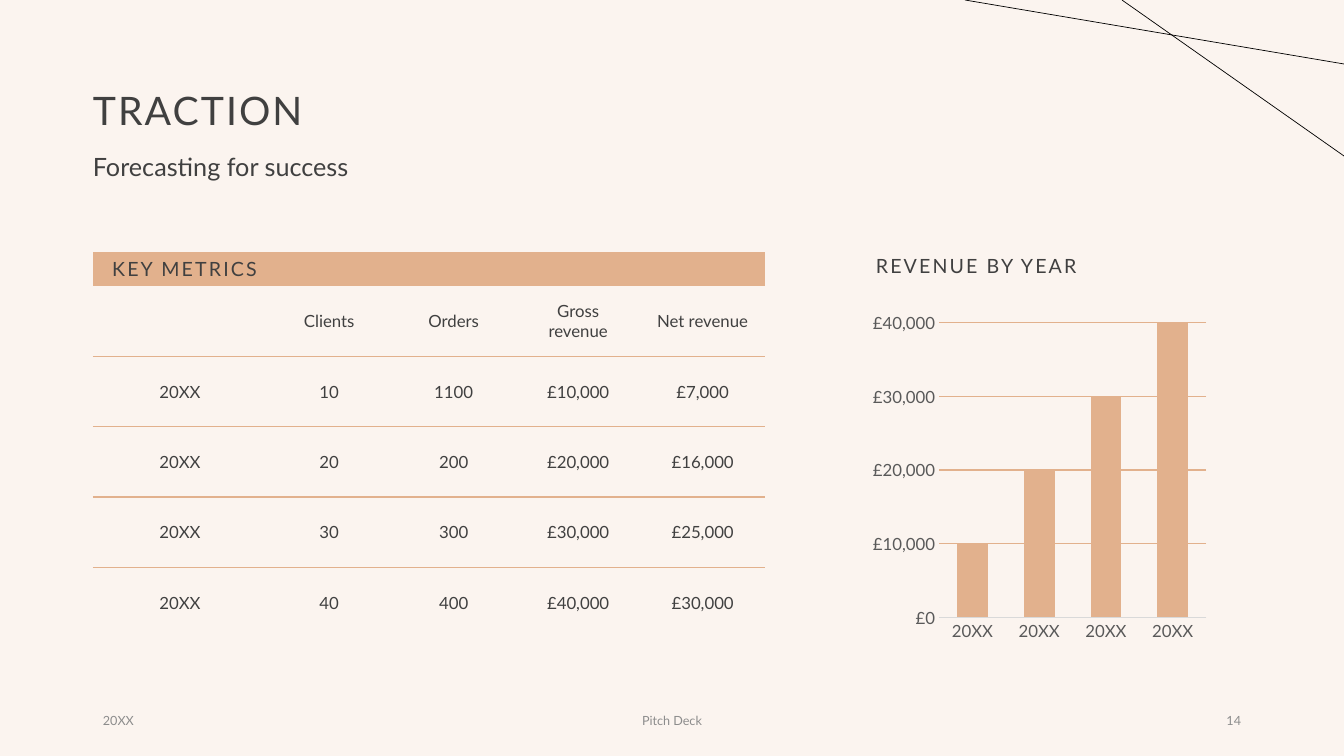
from lxml import etree
from pptx import Presentation
from pptx.chart.data import CategoryChartData
from pptx.dml.color import RGBColor
from pptx.enum.chart import XL_CHART_TYPE, XL_TICK_MARK
from pptx.enum.shapes import MSO_CONNECTOR
from pptx.enum.text import MSO_ANCHOR, MSO_AUTO_SIZE, PP_ALIGN
from pptx.oxml.ns import qn
from pptx.util import Emu, Pt

LEFT, CENTER, RIGHT = PP_ALIGN.LEFT, PP_ALIGN.CENTER, PP_ALIGN.RIGHT
TOP, MIDDLE = MSO_ANCHOR.TOP, MSO_ANCHOR.MIDDLE
NO_TICK = XL_TICK_MARK.NONE

# Content
FONT = "Lato"
CREAM, PEACH, INK, AXIS_INK, FOOTER_INK = "FBF4EF", "E2B18D", "404040", "595959", "8C8C8C"

TITLE = "TRACTION"
SUBTITLE = "Forecasting for success"
CHART_HEADING = "REVENUE BY YEAR"
METRICS = [
    ["KEY METRICS", "", "", "", ""],
    ["", "Clients", "Orders", "Gross revenue", "Net revenue"],
    ["20XX", "10", "1100", "£10,000", "£7,000"],
    ["20XX", "20", "200", "£20,000", "£16,000"],
    ["20XX", "30", "300", "£30,000", "£25,000"],
    ["20XX", "40", "400", "£40,000", "£30,000"],
]
YEARS = ["20XX"] * 4
REVENUE = [10000, 20000, 30000, 40000]
FOOTERS = [  # text, left, width, alignment
    ("20XX", 93, 302, LEFT),
    ("Pitch Deck", 445, 454, CENTER),
    ("14", 949, 302, RIGHT),
]
CORNER_LINES = [(1122, 0, 1344, 156), (965, 0, 1344, 64)]

# Layout in px
SLIDE_W, SLIDE_H = 1344, 756
TITLE_BOX = (93, 40, 1159, 146)
SUBTITLE_BOX = (83, 150, 746, 54)
TABLE_BOX = (93, 252, 672, 386)
YEAR_COL_W, BANNER_H = 174, 34
HEADING_BOX = (866, 252, 347, 34)
CHART_BOX = (866, 306, 347, 342)
FOOTER_TOP, FOOTER_H = 701, 40


def px(value):
    return Emu(round(value * 914400 / 100.8))


def box(values):
    return [px(value) for value in values]


def color(hex_code):
    return RGBColor.from_string(hex_code)


def set_attributes(target, values):
    for name, value in values.items():
        setattr(target, name, value)


def style_font(font, size, hex_code):
    set_attributes(font, {"name": FONT, "size": Pt(size), "bold": False})
    font.color.rgb = color(hex_code)


def write(frame, text, size, hex_code=INK, align=LEFT, tracking=0, paragraph_format=None):
    paragraph = frame.paragraphs[0]
    set_attributes(paragraph, {"alignment": align, **(paragraph_format or {})})
    run = paragraph.add_run()
    run.text = text
    style_font(run.font, size, hex_code)
    if tracking:
        run._r.get_or_add_rPr().set("spc", str(round(tracking * 100)))


def add_text(slide, bounds, text, size, anchor=TOP, **text_format):
    frame = slide.shapes.add_textbox(*box(bounds)).text_frame
    set_attributes(frame, {"word_wrap": True, "vertical_anchor": anchor})
    write(frame, text, size, **text_format)


def add_bottom_border(cell):
    border = etree.Element(qn("a:lnB"), w=str(Pt(1)))
    fill = etree.SubElement(border, qn("a:solidFill"))
    etree.SubElement(fill, qn("a:srgbClr"), val=PEACH)
    cell._tc.get_or_add_tcPr().insert(0, border)


def add_metrics(slide):
    row_count, col_count = len(METRICS), len(METRICS[0])
    graphic = slide.shapes.add_table(row_count, col_count, *box(TABLE_BOX))
    table = graphic.table
    set_attributes(table, {"first_row": False, "horz_banding": False})
    # Plain table style without grid
    table._tbl.tblPr.find(qn("a:tableStyleId")).text = "{2D5ABB26-0587-4C30-8999-92F81FD0307C}"

    width, height = TABLE_BOX[2:]
    for index, column in enumerate(table.columns):
        column.width = px((width - YEAR_COL_W) / (col_count - 1) if index else YEAR_COL_W)
    for index, row in enumerate(table.rows):
        row.height = px((height - BANNER_H) / (row_count - 1) if index else BANNER_H)

    for row_index, values in enumerate(METRICS):
        is_banner = row_index == 0
        for col_index, text in enumerate(values):
            cell = table.cell(row_index, col_index)
            cell.vertical_anchor = MIDDLE
            if is_banner:
                cell.fill.solid()
                cell.fill.fore_color.rgb = color(PEACH)
            else:
                cell.fill.background()
            if 0 < row_index < row_count - 1:
                add_bottom_border(cell)
            if not text:
                set_attributes(cell, {"margin_top": 0, "margin_bottom": 0})
            elif is_banner:
                write(cell.text_frame, text, 14, align=RIGHT, tracking=1.5)
            else:
                write(cell.text_frame, text, 12, align=CENTER)


def add_revenue_chart(slide):
    data = CategoryChartData(number_format='"£"#,##0')
    data.categories = YEARS
    data.add_series("Series 1", REVENUE)
    chart = slide.shapes.add_chart(XL_CHART_TYPE.COLUMN_CLUSTERED, *box(CHART_BOX), data).chart
    set_attributes(chart, {"has_title": False, "has_legend": False})
    style_font(chart.font, 10, "000000")

    plot = chart.plots[0]
    set_attributes(plot, {"gap_width": 118, "overlap": -3, "vary_by_categories": False})
    bars = plot.series[0].format.fill
    bars.solid()
    bars.fore_color.rgb = color(PEACH)

    years, pounds = chart.category_axis, chart.value_axis
    for axis in (years, pounds):
        set_attributes(axis, {"major_tick_mark": NO_TICK, "minor_tick_mark": NO_TICK})
        style_font(axis.tick_labels.font, 12, AXIS_INK)
    set_attributes(pounds, {"minimum_scale": 0, "maximum_scale": 40000,
                            "major_unit": 10000, "has_major_gridlines": True})
    set_attributes(pounds.tick_labels, {"number_format": '"£"#,##0',
                                        "number_format_is_linked": False})
    pounds.format.line.fill.background()
    for line, hex_code in ((years.format.line, "D9D9D9"),
                           (pounds.major_gridlines.format.line, PEACH)):
        line.width = Pt(0.75)
        line.color.rgb = color(hex_code)


def main():
    prs = Presentation()
    set_attributes(prs, {"slide_width": px(SLIDE_W), "slide_height": px(SLIDE_H)})
    slide = prs.slides.add_slide(prs.slide_layouts[5])
    slide.background.fill.solid()
    slide.background.fill.fore_color.rgb = color(CREAM)

    # Title and subtitle
    title = slide.shapes.title
    set_attributes(title, dict(zip(("left", "top", "width", "height"), box(TITLE_BOX))))
    set_attributes(title.text_frame, {"margin_left": 0, "word_wrap": True,
                                      "vertical_anchor": MIDDLE,
                                      "auto_size": MSO_AUTO_SIZE.NONE})
    write(title.text_frame, TITLE, 28, tracking=1.5, paragraph_format={"line_spacing": 0.9})
    heading_spacing = {"line_spacing": 0.9, "space_before": Pt(10)}
    add_text(slide, SUBTITLE_BOX, SUBTITLE, 18, paragraph_format=heading_spacing)

    # Metrics and revenue
    add_metrics(slide)
    add_text(slide, HEADING_BOX, CHART_HEADING, 14, tracking=1.5,
             paragraph_format=heading_spacing)
    add_revenue_chart(slide)

    # Footer
    for text, left, width, align in FOOTERS:
        add_text(slide, (left, FOOTER_TOP, width, FOOTER_H), text, 9,
                 anchor=MIDDLE, hex_code=FOOTER_INK, align=align)

    # Corner lines
    for ends in CORNER_LINES:
        corner_line = slide.shapes.add_connector(MSO_CONNECTOR.STRAIGHT, *box(ends))
        corner_line.line.width = Pt(0.5)
        corner_line.line.color.rgb = color("000000")
        etree.SubElement(corner_line._element.spPr, qn("a:effectLst"))

    prs.save("out.pptx")


if __name__ == "__main__":
    main()
